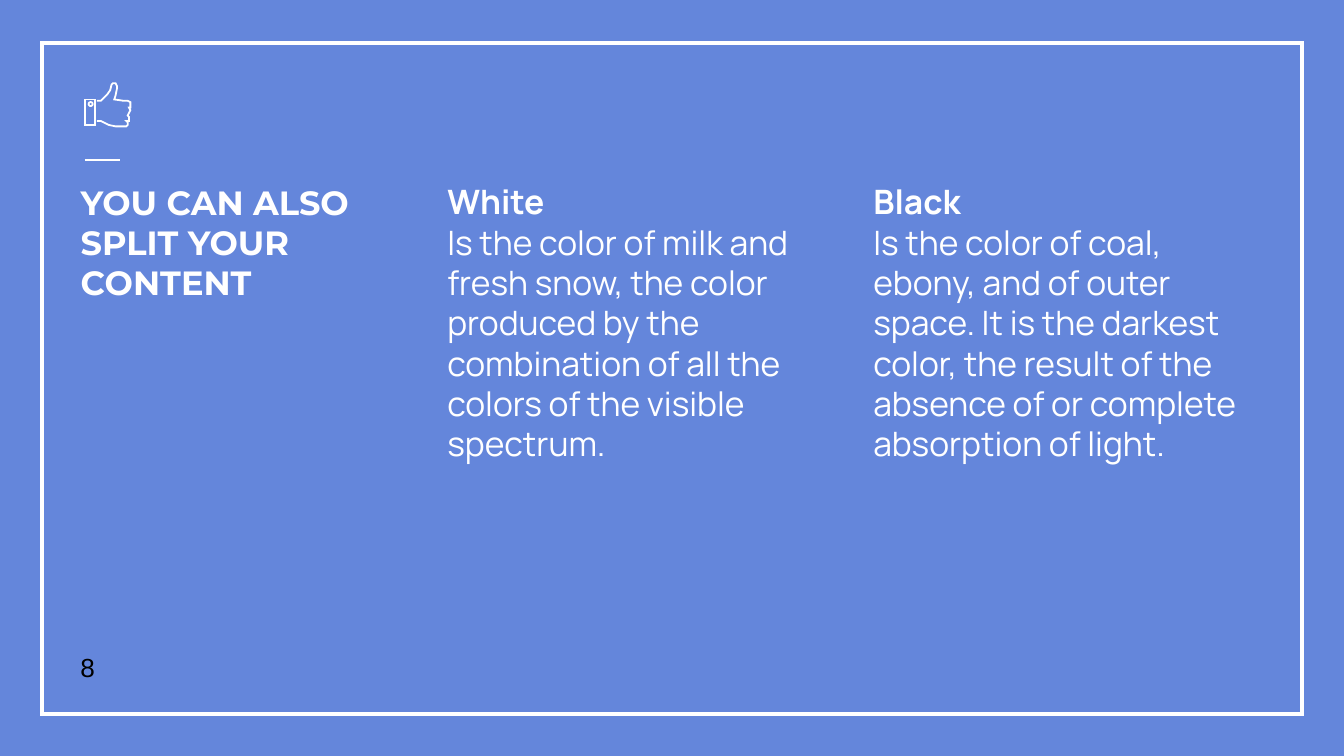
from lxml.etree import SubElement
from pptx import Presentation
from pptx.dml.color import RGBColor
from pptx.enum.shapes import MSO_CONNECTOR, MSO_SHAPE
from pptx.enum.text import MSO_ANCHOR, MSO_AUTO_SIZE, PP_ALIGN
from pptx.oxml.ns import qn
from pptx.util import Inches, Pt

BLUE, WHITE, BLACK = "6486DB", "FFFFFF", "000000"
WIDTH = 10
HEIGHT = WIDTH * 9 / 16
TITLE = "YOU CAN ALSO SPLIT YOUR CONTENT"
COLUMNS = [
    ("White", "Is the color of milk and fresh snow, the color produced by the "
              "combination of all the colors of the visible spectrum."),
    ("Black", "Is the color of coal, ebony, and of outer space. It is the darkest "
              "color, the result of the absence of or complete absorption of light."),
]
PAGE_NUMBER = "8"
TEXT_TOP, COLUMN_LEFT, COLUMN_STEP = 1.25, 3.23, 3.17

# Thumb outline, in hundredths of an inch, from the lower wrist round to the upper
HAND = [
    (72, 90), (75, 90), (77, 91), (81, 92.8), (86, 94), (90, 94.4), (94, 94.3),
    (95.2, 93.3), (95.4, 91.3), (94.5, 90.3), (95.7, 89.5), (96.3, 87.2),
    (95.3, 85.5), (96.5, 84.3), (97, 82), (96.2, 80.5), (97, 79.5), (97.4, 77),
    (97, 75.8), (95, 75), (92, 74.6), (85, 74), (86, 71), (87, 66), (87.2, 64),
    (86.5, 62.5), (85, 61.8), (83.5, 62), (82.7, 62.7), (81.5, 67), (80, 70.2),
    (77, 73), (75, 74.8), (72, 74.8),
]


def color(value):
    return RGBColor.from_string(value)


def outline(shape, width):
    """Leave the shape unfilled, with a sharp white line and no shadow."""
    shape.shadow.inherit = False
    shape.fill.background()
    shape.line.color.rgb = color(WHITE)
    shape.line.width = Pt(width)
    SubElement(shape.element.spPr.find(qn("a:ln")), qn("a:miter"), lim="800000")


def write(shape, box, paragraphs, anchor=MSO_ANCHOR.TOP):
    """Place the shape at box and fill it with (text, font format) paragraphs."""
    shape.left, shape.top, shape.width, shape.height = map(Inches, box)
    tf = shape.text_frame
    tf.auto_size = MSO_AUTO_SIZE.NONE
    tf.word_wrap = True
    tf.vertical_anchor = anchor
    for side in ("left", "top", "right", "bottom"):
        setattr(tf, f"margin_{side}", Inches(0.1))
    for i, (text, style) in enumerate(paragraphs):
        p = tf.add_paragraph() if i else tf.paragraphs[0]
        p.alignment = PP_ALIGN.LEFT
        p.line_spacing = 1.0
        p.space_before = Pt(0)
        r = p.add_run()
        r.text = text
        font = {"name": "Manrope", "size": Pt(18), "bold": False, **style}
        r.font.color.rgb = color(font.pop("color", WHITE))
        for key, value in font.items():
            setattr(r.font, key, value)


def add_text(s, box, paragraphs, **options):
    write(s.shapes.add_textbox(*map(Inches, box)), box, paragraphs, **options)


def add_thumb(s):
    for kind, box in [(MSO_SHAPE.RECTANGLE, (0.63, 0.74, 0.08, 0.19)),
                      (MSO_SHAPE.OVAL, (0.66, 0.76, 0.03, 0.03))]:
        outline(s.shapes.add_shape(kind, *map(Inches, box)), 0.96)
    builder = s.shapes.build_freeform(*HAND[0], scale=Inches(0.01))
    builder.add_line_segments(HAND[1:], close=False)
    outline(builder.convert_to_shape(), 0.96)


def main():
    prs = Presentation()
    prs.slide_width, prs.slide_height = Inches(WIDTH), Inches(HEIGHT)
    s = prs.slides.add_slide(prs.slide_layouts[5])
    s.background.fill.solid()
    s.background.fill.fore_color.rgb = color(BLUE)

    frame = s.shapes.add_shape(MSO_SHAPE.RECTANGLE,
                               *map(Inches, (0.31, 0.32, 9.38, 4.99)))
    outline(frame, 2.25)
    rule = s.shapes.add_connector(MSO_CONNECTOR.STRAIGHT,
                                  *map(Inches, (0.63, 1.19, 0.89, 1.19)))
    rule.line.color.rgb = color(WHITE)
    rule.line.width = Pt(0.75)
    SubElement(rule.element.spPr, qn("a:effectLst"))

    write(s.shapes.title, (0.5, TEXT_TOP, 2.36, 0.89),
          [(TITLE, {"name": "Montserrat", "bold": True})])
    for i, (heading, body) in enumerate(COLUMNS):
        add_text(s, (COLUMN_LEFT + i * COLUMN_STEP, TEXT_TOP, 3, 4.13),
                 [(heading, {"bold": True}), (body, {})])
    add_text(s, (0.5, 4.58, 0.6, 0.6),
             [(PAGE_NUMBER, {"name": "Arial", "size": Pt(14), "color": BLACK})],
             anchor=MSO_ANCHOR.BOTTOM)
    add_thumb(s)
    prs.save("out.pptx")


if __name__ == "__main__":
    main()
